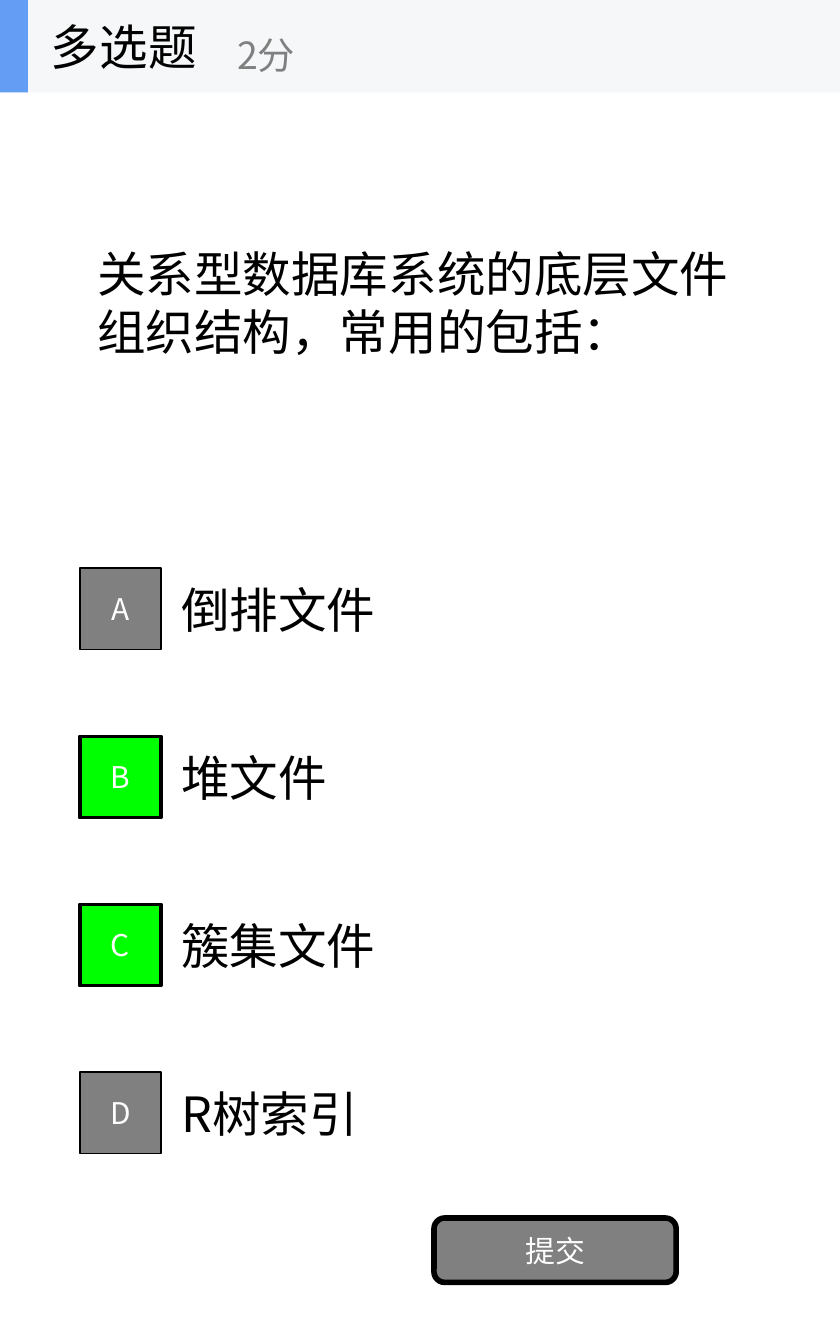
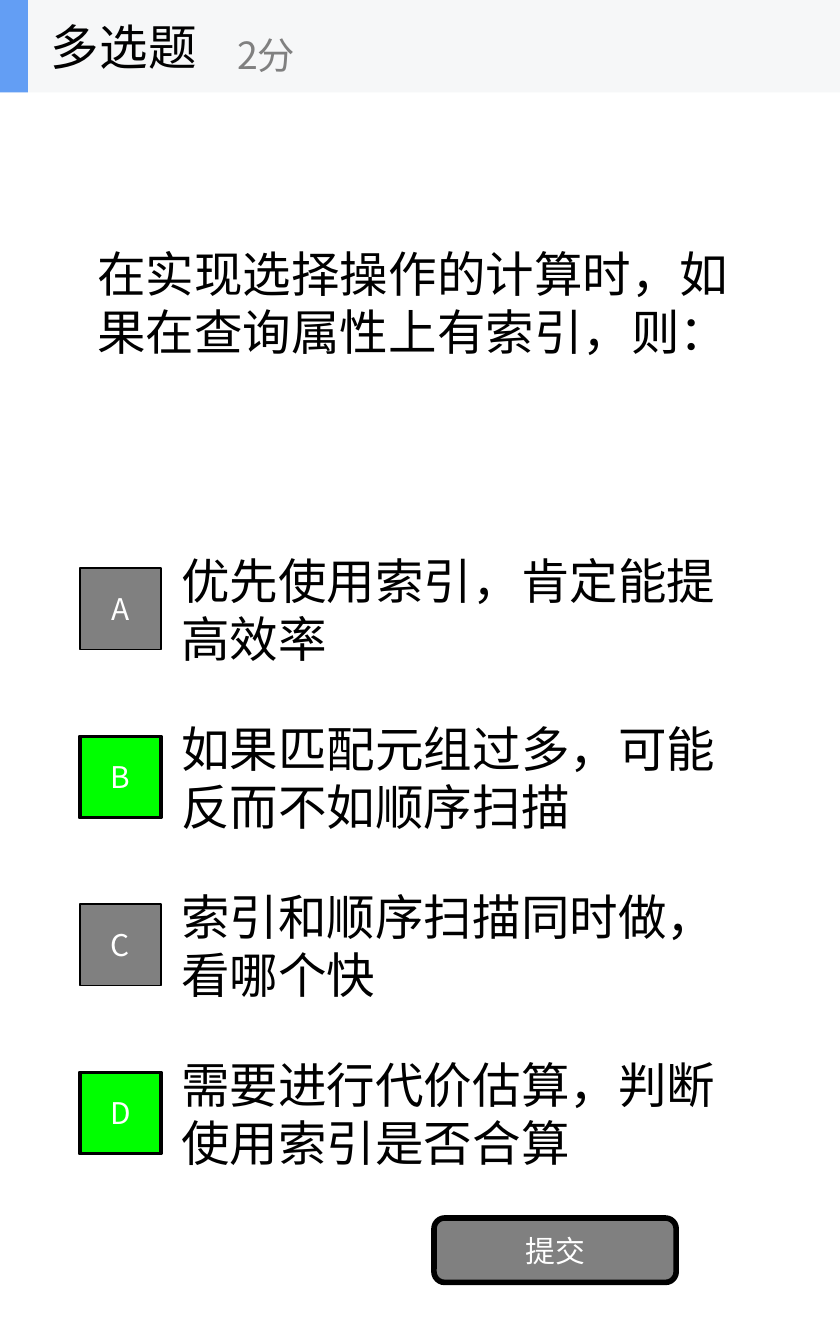
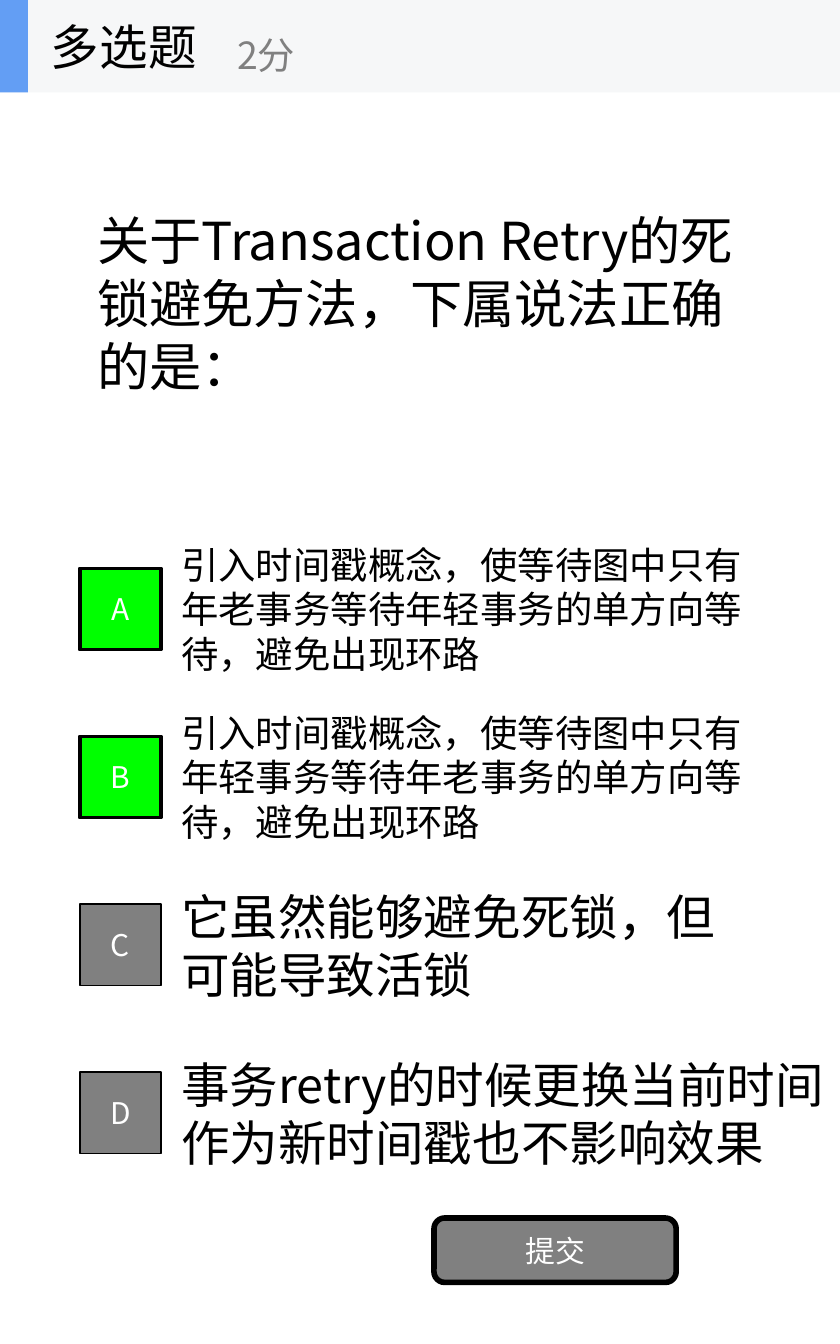
from pptx import Presentation
from pptx.dml.color import RGBColor
from pptx.enum.shapes import MSO_SHAPE
from pptx.enum.text import MSO_ANCHOR, PP_ALIGN
from pptx.oxml.ns import qn
from pptx.util import Pt

RECTANGLE = MSO_SHAPE.RECTANGLE
ROUNDED = MSO_SHAPE.ROUNDED_RECTANGLE
MIDDLE = MSO_ANCHOR.MIDDLE
LEFT, CENTER = PP_ALIGN.LEFT, PP_ALIGN.CENTER

PX = 9525
WIDTH, HEIGHT = 600, 960
HEADER_HEIGHT = 66
OPTION_TOP, OPTION_STEP, OPTION_HEIGHT = 390, 120, 90
BADGE_SIZE = 58
FONT = "Noto Sans CJK SC"
COLORS = {
    "text": "000000",
    "light": "FFFFFF",
    "muted": "808080",
    "correct": "00FF00",
    "header": "F6F7F8",
    "accent": "639EF4",
}

QUESTIONS = [
    {
        "text": "关系型数据库系统的底层文件组织结构，常用的包括：",
        "correct": "BC",
        "options": [
            {"text": "倒排文件"},
            {"text": "堆文件"},
            {"text": "簇集文件"},
            {"text": "R树索引"},
        ],
    },
    {
        "text": "在实现选择操作的计算时，如果在查询属性上有索引，则：",
        "correct": "BD",
        "options": [
            {"text": "优先使用索引，肯定能提高效率"},
            {"text": "如果匹配元组过多，可能反而不如顺序扫描"},
            {"text": "索引和顺序扫描同时做，看哪个快"},
            {"text": "需要进行代价估算，判断使用索引是否合算"},
        ],
    },
    {
        "text": "关于Transaction Retry的死锁避免方法，下属说法正确的是：",
        "size": 28,
        "correct": "AB",
        "options": [
            {"text": "引入时间戳概念，使等待图中只有年老事务等待年轻事务的单方向等待，避免出现环路", "size": 20},
            {"text": "引入时间戳概念，使等待图中只有年轻事务等待年老事务的单方向等待，避免出现环路", "size": 20},
            {"text": "它虽然能够避免死锁，但可能导致活锁"},
            {"text": "事务retry的时候更换当前时间作为新时间戳也不影响效果", "width": 480},
        ],
    },
]


def scaled(*lengths):
    """Turn px lengths into EMU."""
    return [length * PX for length in lengths]


def color(name):
    """Look up a named colour."""
    return RGBColor.from_string(COLORS[name])


def write_text(shape, text, size=26, fill="text", align=LEFT, wrap=True):
    """Write one formatted, vertically centred paragraph into a shape."""
    frame = shape.text_frame
    frame.word_wrap = wrap
    frame.vertical_anchor = MIDDLE
    paragraph = frame.paragraphs[0]
    paragraph.alignment = align
    run = paragraph.add_run()
    run.text = text
    run.font.name = FONT
    run.font.size = Pt(size)
    run.font.color.rgb = color(fill)
    east_asian = run.font._element.makeelement(qn("a:ea"), {"typeface": FONT})
    run.font._element.append(east_asian)


def add_text(parent, box, text, **text_format):
    """Add a text box to a slide or group."""
    write_text(parent.shapes.add_textbox(*scaled(*box)), text, **text_format)


def add_box(parent, box, fill, kind=RECTANGLE, line_width=0):
    """Add a flat filled shape, outlined when a line width is given."""
    shape = parent.shapes.add_shape(kind, *scaled(*box))
    shape.shadow.inherit = False
    shape.fill.solid()
    shape.fill.fore_color.rgb = color(fill)
    if line_width:
        shape.line.color.rgb = color("text")
        shape.line.width = Pt(line_width)
    else:
        shape.line.fill.background()
    return shape


def add_button(slide, box, label, **box_format):
    """Add a shape with a light centred label."""
    shape = add_box(slide, box, **box_format)
    write_text(shape, label, size=16, fill="light", align=CENTER)


def add_header(slide):
    """Add the grouped header band with question type and score."""
    header = slide.shapes.add_group_shape()
    add_box(header, (0, 0, WIDTH, HEADER_HEIGHT), "header")
    add_box(header, (0, 0, 20, HEADER_HEIGHT), "accent")
    add_text(header, (27, 0, 200, HEADER_HEIGHT), "多选题", wrap=False)
    add_text(header, (160, 12, 240, 54), "2分", size=20, fill="muted", wrap=False)


def add_option_text(slide, index, text, width=420, size=26):
    """Add the wording of one answer option."""
    top = OPTION_TOP + index * OPTION_STEP
    add_text(slide, (120, top, width, OPTION_HEIGHT), text, size=size)


def add_badge(slide, index, letter, is_correct):
    """Add the letter badge of one answer option."""
    top = OPTION_TOP + index * OPTION_STEP + (OPTION_HEIGHT - BADGE_SIZE) // 2
    add_button(slide, (57, top, BADGE_SIZE, BADGE_SIZE), letter,
               fill="correct" if is_correct else "muted",
               line_width=2 if is_correct else 1)


def add_question_slide(presentation, question):
    """Add one multiple-choice question slide."""
    slide = presentation.slides.add_slide(presentation.slide_layouts[6])
    add_text(slide, (60, HEADER_HEIGHT, 480, 300), question["text"],
             size=question.get("size", 26))
    for index, option in enumerate(question["options"]):
        add_option_text(slide, index, **option)
    for index, letter in enumerate("ABCD"):
        add_badge(slide, index, letter, letter in question["correct"])
    add_button(slide, (310, 870, 173, 46), "提交", fill="muted", kind=ROUNDED, line_width=3)
    add_header(slide)


def main():
    """Build and save the quiz."""
    presentation = Presentation()
    presentation.slide_width, presentation.slide_height = scaled(WIDTH, HEIGHT)
    for question in QUESTIONS:
        add_question_slide(presentation, question)
    presentation.save("out.pptx")


if __name__ == "__main__":
    main()
